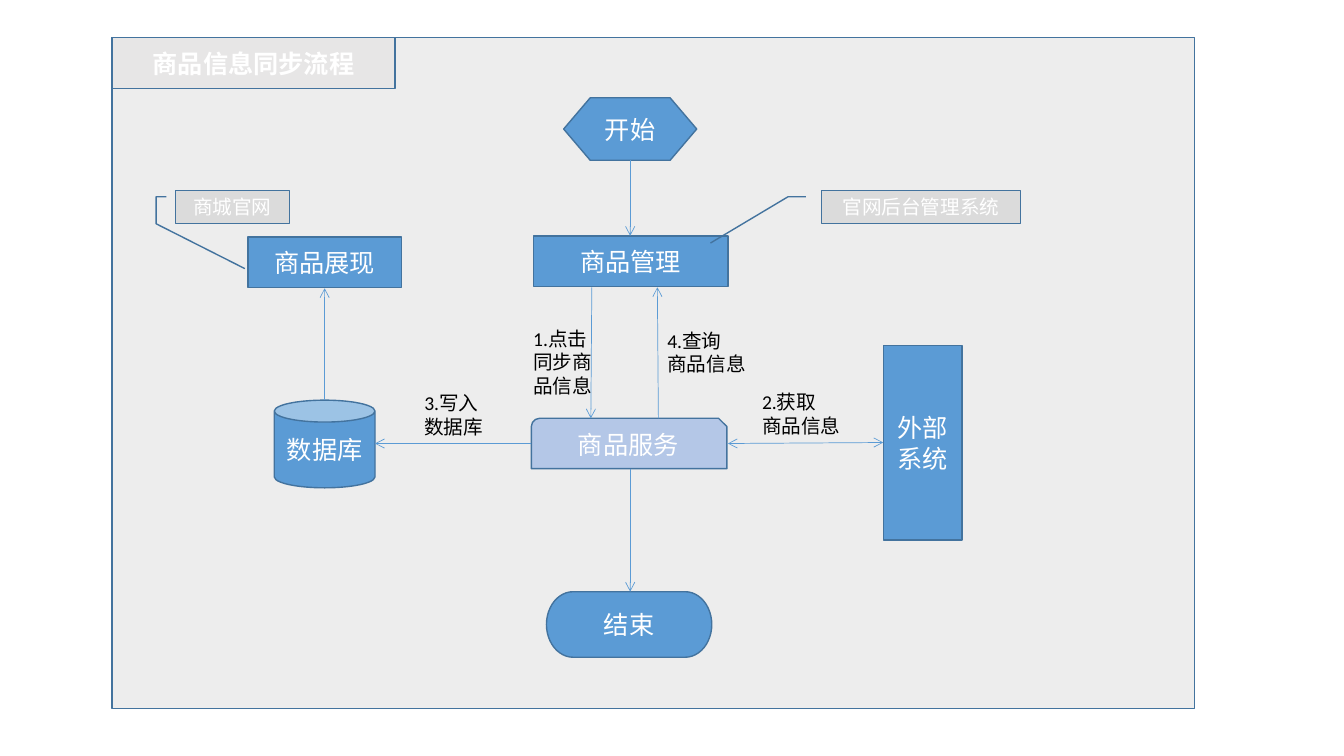
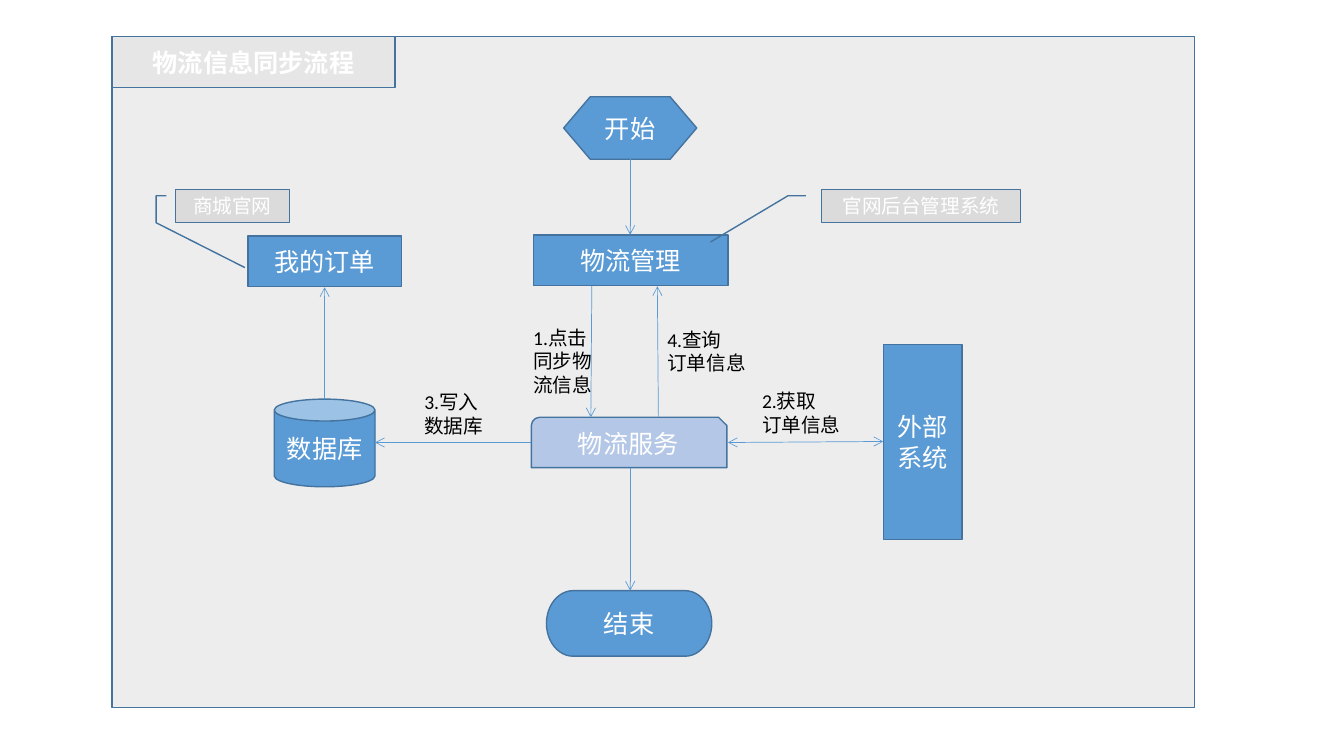
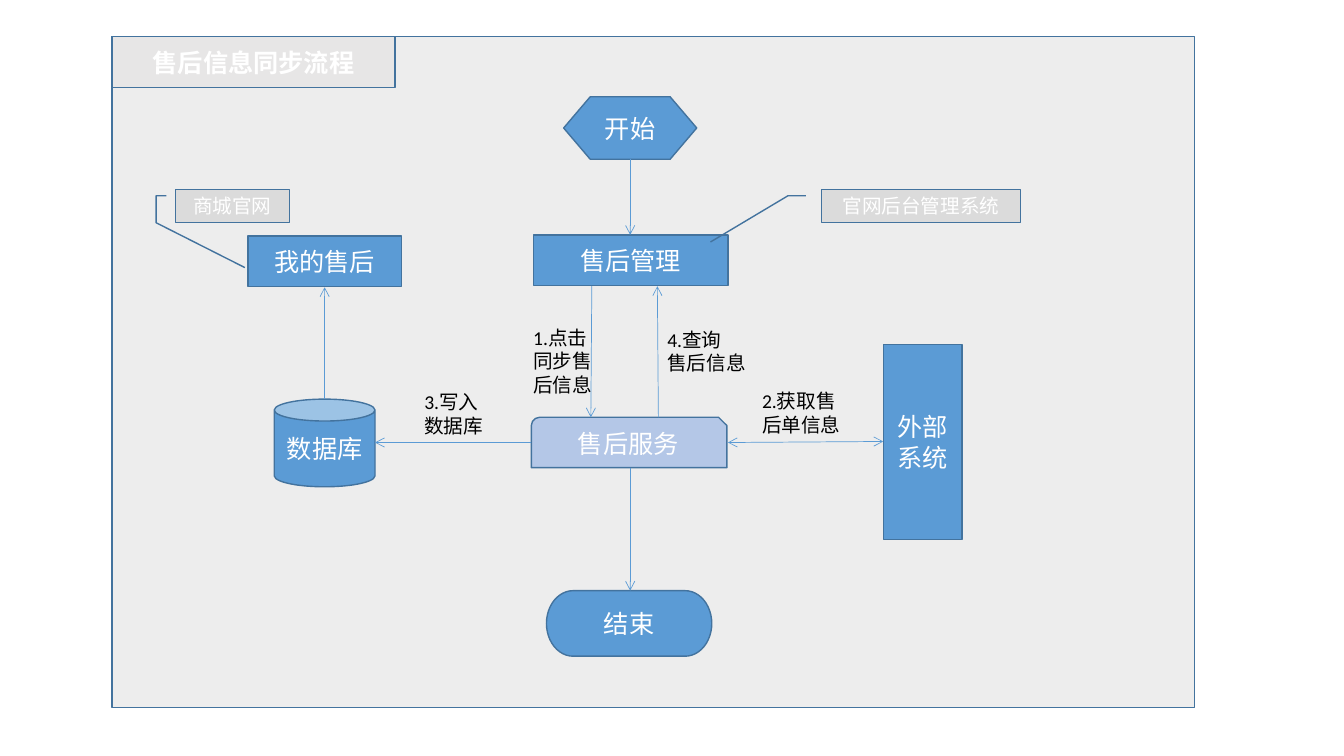
"""Build three flowcharts of how goods, logistics and after-sales data are synchronised."""
from lxml import etree
from pptx import Presentation
from pptx.dml.color import RGBColor
from pptx.enum import shapes, text
from pptx.oxml.ns import qn
from pptx.util import Inches, Pt

FONT = "Calibri"
BLUE = RGBColor(0x5B, 0x9B, 0xD5)
OUTLINE = RGBColor(0x43, 0x73, 0x9E)
PALE_BLUE = RGBColor(0xB4, 0xC7, 0xE7)
PANEL = RGBColor(0xED, 0xED, 0xED)
TITLE_FILL = RGBColor(0xE7, 0xE6, 0xE6)
CALLOUT_FILL = RGBColor(0xDB, 0xDB, 0xDB)
WHITE = RGBColor(0xFF, 0xFF, 0xFF)
BLACK = RGBColor(0x00, 0x00, 0x00)
KIND = shapes.MSO_SHAPE


def write(shape, lines, size, color, align, bold=False):
    """Fill a shape with one paragraph per line."""
    frame = shape.text_frame
    frame.word_wrap = True
    for index, line in enumerate(lines):
        paragraph = frame.paragraphs[0] if index == 0 else frame.add_paragraph()
        paragraph.alignment = align
        run = paragraph.add_run()
        run.text = line
        run.font.name = FONT
        run.font.size = Pt(size)
        run.font.bold = bold
        run.font.color.rgb = color


def add_box(slide, kind, place, fill, words="", size=18, bold=False):
    """Add an outlined shape with centred white words."""
    shape = slide.shapes.add_shape(kind, *map(Inches, place))
    shape.shadow.inherit = False
    shape.fill.solid()
    shape.fill.fore_color.rgb = fill
    shape.line.color.rgb = OUTLINE
    shape.line.width = Pt(1)
    if words:
        shape.text_frame.vertical_anchor = text.MSO_ANCHOR.MIDDLE
        write(shape, [words], size, WHITE, text.PP_ALIGN.CENTER, bold)
    return shape


presentation = Presentation()
presentation.slide_width = Inches(13.33)
presentation.slide_height = Inches(7.5)

flows = [
    ("商品", "商品展现", "商品信息", ["2.获取", "商品信息"], 0),
    ("物流", "我的订单", "订单信息", ["2.获取", "订单信息"], -0.01),
    ("售后", "我的售后", "售后信息", ["2.获取售后单信息"], -0.01),
]

arrows = [
    (6.25, 1.59, 6.25, 2.34, ["tailEnd"]),
    (5.87, 2.85, 5.86, 4.15, ["tailEnd"]),
    (6.53, 4.15, 6.52, 2.85, ["tailEnd"]),
    (6.25, 4.65, 6.25, 5.87, ["tailEnd"]),
    (7.22, 4.4, 8.76, 4.39, ["headEnd", "tailEnd"]),
    (5.27, 4.4, 3.72, 4.4, ["tailEnd"]),
    (3.22, 3.97, 3.22, 2.86, ["tailEnd"]),
]

callouts = [
    (KIND.LINE_CALLOUT_2, 8.15, 1.97, "官网后台管理系统",
     [0.19, -0.08, 0.19, -0.17, 1.58, -0.56]),
    (KIND.LINE_CALLOUT_3, 1.74, 1.13, "商城官网",
     [0.19, -0.08, 0.19, -0.17, 1, -0.17, 2.35, 0.61]),
]

for topic, front_page, queried, fetch_label, shift in flows:
    slide = presentation.slides.add_slide(presentation.slide_layouts[6])

    add_box(slide, KIND.RECTANGLE, (1.11, 0.37 + shift, 10.74, 6.66), PANEL)
    add_box(slide, KIND.RECTANGLE, (1.11, 0.37 + shift, 2.81, 0.51), TITLE_FILL,
            topic + "信息同步流程", bold=True)

    nodes = [
        (KIND.FLOWCHART_PREPARATION, 5.59, 0.97, 1.32, 0.62, BLUE, "开始"),
        (KIND.FLOWCHART_PROCESS, 5.29, 2.34, 1.93, 0.5, BLUE, topic + "管理"),
        (KIND.SNIP_ROUND_RECTANGLE, 5.27, 4.15, 1.94, 0.5, PALE_BLUE, topic + "服务"),
        (KIND.FLOWCHART_TERMINATOR, 5.42, 5.87, 1.64, 0.65, BLUE, "结束"),
        (KIND.RECTANGLE, 8.76, 3.43, 0.78, 1.93, BLUE, "外部系统"),
        (KIND.CAN, 2.72, 3.97, 1, 0.87, BLUE, "数据库"),
        (KIND.FLOWCHART_PROCESS, 2.46, 2.35, 1.52, 0.5, BLUE, front_page),
    ]
    for kind, left, top, width, height, fill, words in nodes:
        add_box(slide, kind, (left, top + shift, width, height), fill, words)

    for kind, left, width, words, leader in callouts:
        callout = add_box(slide, kind, (left, 1.89 + shift, width, 0.33),
                          CALLOUT_FILL, words, size=14)
        for index, value in enumerate(leader):
            callout.adjustments[index] = value

    for start_x, start_y, end_x, end_y, ends in arrows:
        connector = slide.shapes.add_connector(
            shapes.MSO_CONNECTOR.STRAIGHT, Inches(start_x), Inches(start_y + shift),
            Inches(end_x), Inches(end_y + shift))
        connector.line.color.rgb = BLUE
        connector.line.width = Pt(0.5)
        properties = connector._element.spPr
        for end in ends:
            etree.SubElement(properties.find(qn("a:ln")), qn("a:" + end), type="arrow")
        etree.SubElement(properties, qn("a:effectLst"))

    labels = [
        (5.19, 3.19, 0.83, 0.8, ["1.点击", "同步" + topic + "信息"]),
        (7.46, 3.82, 1.06, 0.57, fetch_label),
        (4.11, 3.83, 0.85, 0.57, ["3.写入", "数据库"]),
        (6.52, 3.21, 1.23, 0.57, ["4.查询", queried]),
    ]
    for left, top, width, height, lines in labels:
        label = slide.shapes.add_textbox(
            Inches(left), Inches(top + shift), Inches(width), Inches(height))
        write(label, lines, 14, BLACK, text.PP_ALIGN.LEFT)

presentation.save("out.pptx")
